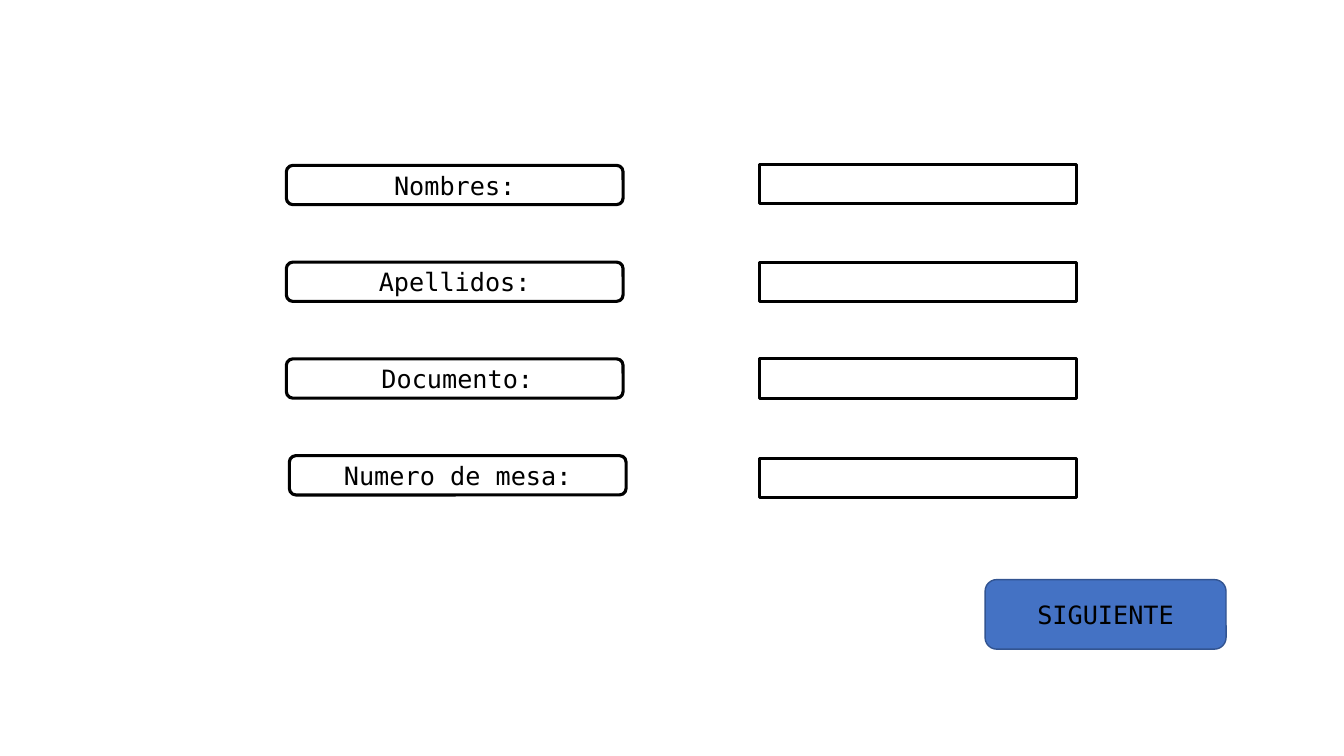
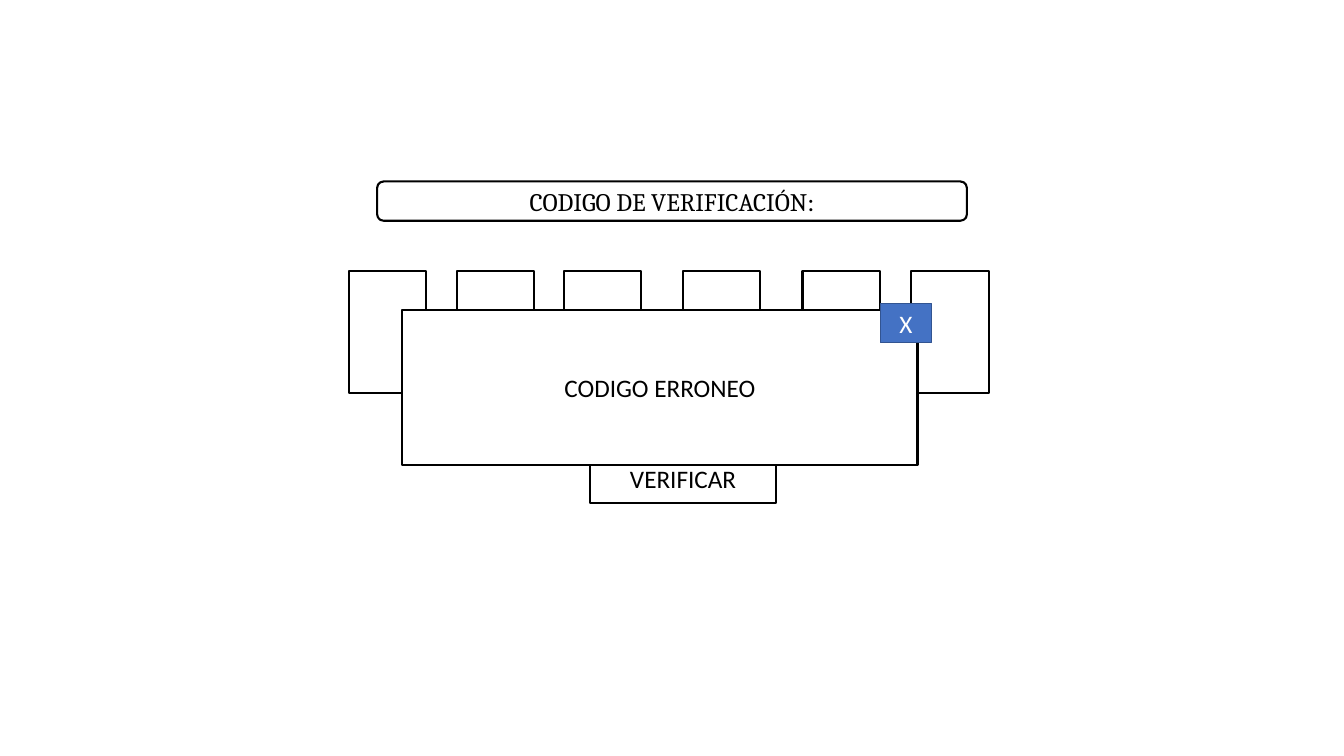
"""Build two voter form slides: personal details and code verification."""
from dataclasses import dataclass

from pptx import Presentation
from pptx.dml.color import RGBColor
from pptx.enum.shapes import MSO_SHAPE
from pptx.enum.text import MSO_ANCHOR, PP_ALIGN
from pptx.util import Inches, Pt


@dataclass(frozen=True)
class Theme:
    black: str = "000000"
    white: str = "FFFFFF"
    blue: str = "4472C4"
    dark_blue: str = "325491"
    mono: str = "DejaVu Sans Mono"
    serif: str = "Cambria"
    sans: str = "Calibri"
    text_size: int = 18


THEME = Theme()
FIELD = {"fill": THEME.white, "line": THEME.black, "width": 2.25, "color": THEME.black}
BOX = {**FIELD, "width": 1.5}
BUTTON = {**FIELD, "fill": THEME.blue, "line": THEME.dark_blue, "width": 1}
CLOSE = {**BUTTON, "color": THEME.white}
RECTANGLE = MSO_SHAPE.RECTANGLE
ROUNDED = MSO_SHAPE.ROUNDED_RECTANGLE

FORM_ROWS = [
    {"label": "Nombres:", "left": 2.84, "inset": 0.1, "field_top": 1.63},
    {"label": "Apellidos:", "left": 2.84, "inset": 0.1, "field_top": 2.6},
    {"label": "Documento:", "left": 2.84, "inset": 0.15, "field_top": 3.56},
    {"label": "Numero de mesa:", "left": 2.87, "inset": 0.1, "field_top": 4.55},
]
FIRST_ROW_TOP, ROW_STEP = 1.64, 0.96
NEXT_BUTTON = ("SIGUIENTE", (9.77, 5.75, 2.39, 0.69))

CODE_HEADING = ("CODIGO DE VERIFICACIÓN", (3.74, 1.8, 5.85, 0.39))
DIGIT_LEFTS = [3.46, 4.53, 5.59, 6.77, 7.96, 9.04]
CODE_PARTS = [
    ("VERIFICAR", (5.85, 4.51, 1.85, 0.48), BOX),
    ("CODIGO ERRONEO", (3.99, 3.08, 5.11, 1.53), BOX),
    ("X", (8.73, 3.01, 0.51, 0.39), CLOSE),
]


def add_box(slide, place, style, runs=(), kind=RECTANGLE, inset=0.1):
    shape = slide.shapes.add_shape(kind, *map(Inches, place))
    shape.shadow.inherit = False
    shape.fill.solid()
    shape.fill.fore_color.rgb = RGBColor.from_string(style["fill"])
    shape.line.color.rgb = RGBColor.from_string(style["line"])
    shape.line.width = Pt(style["width"])
    frame = shape.text_frame
    frame_format = {
        "word_wrap": True,
        "vertical_anchor": MSO_ANCHOR.MIDDLE,
        "margin_left": Inches(inset),
    }
    for name, value in frame_format.items():
        setattr(frame, name, value)
    paragraph = frame.paragraphs[0]
    paragraph.alignment = PP_ALIGN.CENTER
    for text, font_name in runs:
        run = paragraph.add_run()
        run.text = text
        for name, value in {"name": font_name, "size": Pt(THEME.text_size)}.items():
            setattr(run.font, name, value)
        run.font.color.rgb = RGBColor.from_string(style["color"])


def build_form(slide):
    for index, row in enumerate(FORM_ROWS):
        label_place = (row["left"], FIRST_ROW_TOP + index * ROW_STEP, 3.34, 0.39)
        label_runs = [(row["label"], THEME.mono)]
        add_box(slide, label_place, FIELD, label_runs, ROUNDED, row["inset"])
        add_box(slide, (7.53, row["field_top"], 3.15, 0.39), FIELD)
    text, place = NEXT_BUTTON
    add_box(slide, place, BUTTON, [(text, THEME.mono)], ROUNDED)


def build_verification(slide):
    text, place = CODE_HEADING
    add_box(slide, place, BOX, [(text, THEME.serif), (":", THEME.sans)], ROUNDED)
    for left in DIGIT_LEFTS:
        add_box(slide, (left, 2.69, 0.77, 1.21), BOX)
    for text, place, style in CODE_PARTS:
        add_box(slide, place, style, [(text, THEME.sans)])


def main():
    presentation = Presentation()
    presentation.slide_width = Inches(13.33)
    presentation.slide_height = Inches(7.5)
    for build in (build_form, build_verification):
        build(presentation.slides.add_slide(presentation.slide_layouts[6]))
    presentation.save("out.pptx")


if __name__ == "__main__":
    main()
